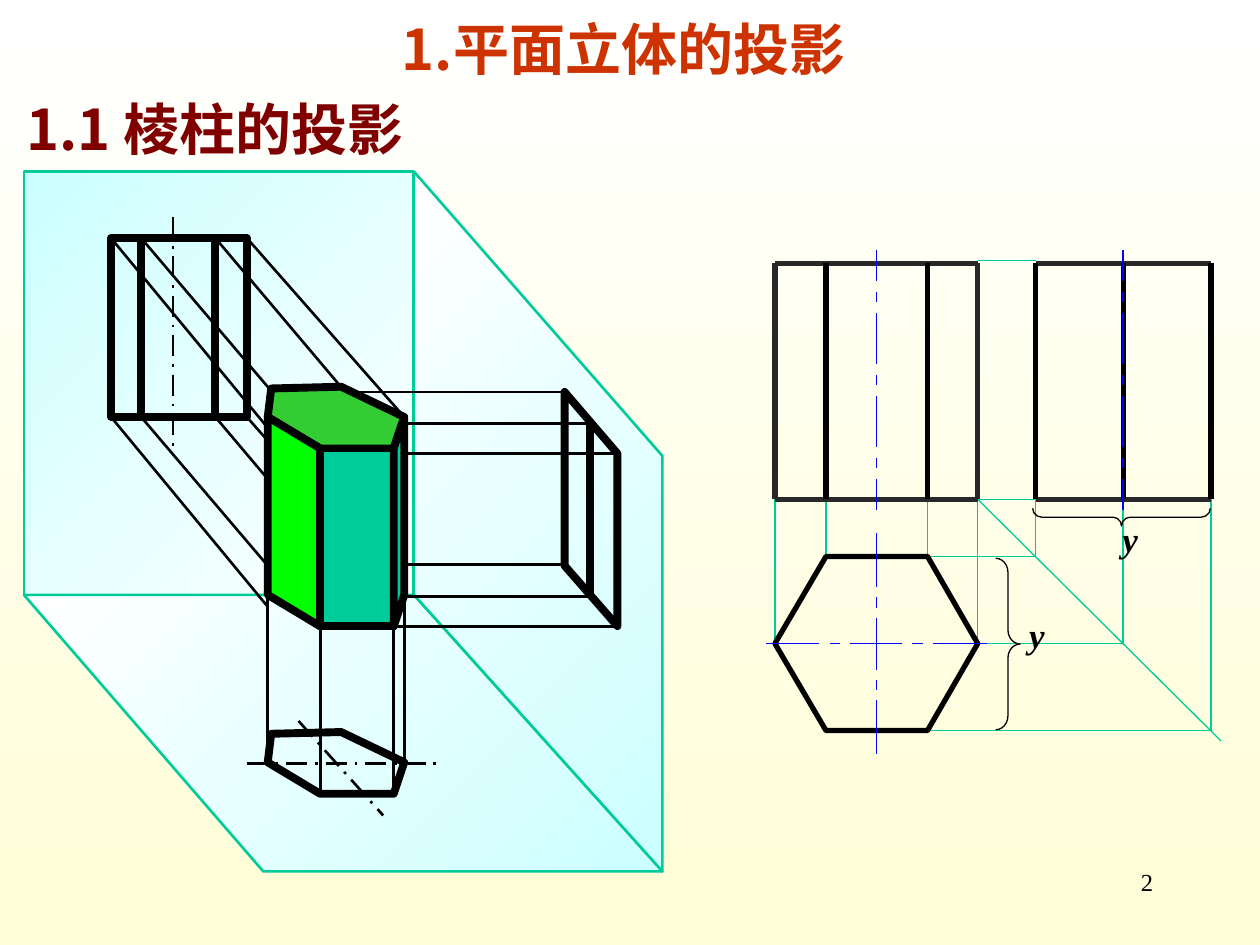
from lxml import etree
from pptx import Presentation
from pptx import util as u
from pptx.dml.color import RGBColor
from pptx.enum import dml, shapes, text
from pptx.oxml.ns import qn

BLACK, GREY, GREEN, BLUE = "000000", "282828", "00CC99", "0000FF"
CJK, LATIN = "Noto Sans CJK SC", "Times New Roman"


def colour(value):
    return RGBColor.from_string(value)


def shade(fill, first, last, angle):
    fill.gradient()
    fill.gradient_angle = 360 - angle
    for stop, value, position in zip(fill.gradient_stops, (first, last), (0, 1)):
        stop.color.rgb = colour(value)
        stop.position = position


class Drawing:
    thin, medium, thick, heavy = 0.75, 1.5, 3, 4.5

    def __init__(self, slide):
        self.slide = slide
        self.shapes = slide.shapes

    def finish(self, shape, fill, line, width):
        shape.shadow.inherit = False
        if fill is None:
            shape.fill.background()
        elif isinstance(fill, tuple):
            shade(shape.fill, *fill)
        else:
            shape.fill.solid()
            shape.fill.fore_color.rgb = colour(fill)
        shape.line.color.rgb = colour(line)
        shape.line.width = u.Pt(width)
        return shape

    def preset(self, kind, left, top, width, height, fill=None, line=BLACK, weight=heavy):
        shape = self.shapes.add_shape(kind, u.Pt(left), u.Pt(top), u.Pt(width), u.Pt(height))
        return self.finish(shape, fill, line, weight)

    def rectangle(self, *frame, **look):
        return self.preset(shapes.MSO_SHAPE.RECTANGLE, *frame, **look)

    def brace(self, left, top, width, height, curve, rotation=0):
        shape = self.preset(shapes.MSO_SHAPE.RIGHT_BRACE, left, top, width, height, weight=self.thin)
        shape.adjustments[0] = curve
        shape.rotation = rotation

    def polygon(self, points, fill=None, line=BLACK, weight=heavy):
        corners = [(u.Pt(x), u.Pt(y)) for x, y in points]
        builder = self.shapes.build_freeform(*corners[0])
        builder.add_line_segments(corners[1:], close=True)
        return self.finish(builder.convert_to_shape(), fill, line, weight)

    def line(self, x1, y1, x2, y2, value=BLACK, weight=medium, dashed=False):
        connector = self.shapes.add_connector(
            shapes.MSO_CONNECTOR.STRAIGHT, u.Pt(x1), u.Pt(y1), u.Pt(x2), u.Pt(y2))
        connector.line.color.rgb = colour(value)
        connector.line.width = u.Pt(weight)
        if dashed:
            connector.line.dash_style = dml.MSO_LINE.LONG_DASH_DOT
        etree.SubElement(connector._element.spPr, qn("a:effectLst"))

    def centre_line(self, x, y, dashes, vertical=True):
        for start, end in dashes:
            if vertical:
                self.line(x, y + start, x, y + end, BLUE, self.thin)
            else:
                self.line(x + start, y, x + end, y, BLUE, self.thin)

    def label(self, words, left, top, width, height, size, font=LATIN, value=BLACK,
              align=text.PP_ALIGN.LEFT, middle=False, inset=True, bold=False, italic=False):
        box = self.shapes.add_textbox(u.Pt(left), u.Pt(top), u.Pt(width), u.Pt(height))
        frame = box.text_frame
        frame.word_wrap = True
        if middle:
            frame.vertical_anchor = text.MSO_ANCHOR.MIDDLE
        if not inset:
            frame.margin_left = frame.margin_right = frame.margin_top = frame.margin_bottom = 0
        para = frame.paragraphs[0]
        span = para.add_run()
        span.text = words
        para.alignment = align
        for face in (para.font, span.font):
            face.size, face.name, face.bold, face.italic = u.Pt(size), font, bold, italic
            face.color.rgb = colour(value)
        if font == CJK:
            etree.SubElement(span.font._element, qn("a:ea"), typeface=font)


def mirrored(half):
    return [(-end, -start) for start, end in half] + half


def section(drop=0, **look):
    outline = [(153, 238.3), (183, 256.3), (225, 256.3), (231, 238.3), (195, 221), (155, 222)]
    drawing.polygon([(x, y + drop) for x, y in outline], **look)


def planes():
    left, right, back, top, bottom, low = 13.7, 378.5, 236.5, 98, 340, 498
    drawing.rectangle(left, top, back - left, bottom - top,
                      fill=("FFFFFF", "CCFFFF", 225), line=GREEN, weight=1.5)
    tint = ("CCFFFF", "FFFFFF", 225)
    drawing.polygon([(back, top), (right, 260.5), (right, low), (back, bottom)], tint, GREEN, 1.5)
    drawing.polygon([(right, low), (150.5, low), (left, bottom), (back, bottom)], tint, GREEN, 1.5)


def pictorial_views():
    depth = 98.7
    for drop in (0, depth):
        for start, end, y in ((195, 322.6, 224), (231, 337, 242), (225, 352.8, 259.2)):
            drawing.line(start, y + drop, end, y + drop)
    drawing.polygon([(322.6, 224), (322.6, 323.3), (352.8, 357.8), (352.8, 259.2)])
    drawing.line(337, 242.6, 337, 340.6, weight=4.5)

    top, height = 136, 102.2
    columns = (63.4, 80.6, 123, 141)
    ends = ((152.6, 244), (183, 256.3), (224.6, 256.3), (231, 238.3))
    for drop in (0, height):
        for x, (end_x, end_y) in zip(columns, ends):
            drawing.line(x, top + drop, end_x, end_y + drop)
    drawing.rectangle(columns[0], top, columns[-1] - columns[0], height)
    for x in columns[1:3]:
        drawing.line(x, top, x, top + height, weight=4.5)
    drawing.line(98.8, 124, 98.8, 256.3, dashed=True)

    for x, start, end in ((153, 340, 436.3), (183, 358, 454.3), (225, 352, 454.3), (231, 340, 436.3)):
        drawing.line(x, start, x, end)
    section(197.3)
    drawing.line(170.6, 412, 219, 466, dashed=True)
    drawing.line(141, 436.3, 249, 436.3, dashed=True)


def prism():
    height = 101.6
    section(height - 0.8)
    section(fill="33CC33")
    base = 238.3 + height
    drawing.polygon([(153, 238.3), (153, base), (183, base + 18), (183, 256.3)], "00FF00")
    drawing.rectangle(183, 256.3, 42, height, fill=GREEN)
    drawing.polygon([(225, 256.3), (231, 238.3), (231, base), (225, base + 18)], GREEN)


def orthographic_views():
    x1, x2, x3, x4 = 442.8, 472, 530, 558.7
    side, middle, far = 591.8, 641.8, 692
    top, bottom, back, axis, front = 150.5, 285.3, 318, 367.8, 417.5
    guides = [
        (x1, bottom, x1, axis), (x4, bottom, x4, axis),
        (x2, bottom, x2, back), (x3, bottom, x3, back),
        (x4, axis, middle, axis), (x4, bottom, 697.7, 423.4),
        (x3, back, side, back), (x3, front, far, front),
        (side, bottom, side, back), (far, bottom, far, front), (middle, bottom, middle, axis),
        (x4, bottom, side, bottom), (x4, 149, side, 149),
    ]
    for guide in guides:
        drawing.line(*guide, GREEN, drawing.thin)
    drawing.polygon([(x4, axis), (x3, back), (x2, back), (x1, axis), (x2, front), (x3, front)],
                    weight=drawing.thick)
    for start, end in ((side, far), (x1, x4)):
        for y in (top, bottom):
            drawing.line(start, y, end, y, GREY, drawing.thick)
    for x in (middle, side, far, x4, x1, x2, x3):
        drawing.line(x, top, x, bottom, GREY if x in (x1, x4) else BLACK, drawing.thick)

    plan_dashes = mirrored([(0, 14.8), (20.5, 26.5), (32.5, 63)])
    height_dashes = mirrored([(0, 3), (9, 38.4), (44.4, 50.2), (56.5, 74.5)])
    centre = (x1 + x4) / 2
    drawing.centre_line(centre, axis, plan_dashes, vertical=False)
    drawing.centre_line(centre, axis, plan_dashes)
    for x in (centre, middle):
        drawing.centre_line(x, 217.2, height_dashes)

    drawing.brace(569, 319, 14, 98, 0.57)
    drawing.brace(635.8, 244.8, 10.1, 101.5, 0.5, rotation=90)
    for left, y in ((581.8, 350.6), (635, 296)):
        drawing.label("y", left, y, 21.6, 23.8, 20, align=text.PP_ALIGN.CENTER,
                      inset=False, bold=True, italic=True)


deck = Presentation()
deck.slide_width, deck.slide_height = u.Pt(720), u.Pt(540)
page = deck.slides.add_slide(deck.slide_layouts[6])
shade(page.background.fill, "FFFFFF", "FFFED6", 90)
drawing = Drawing(page)
planes()
drawing.label("1.1 棱柱的投影", 8, 50.4, 273, 48.2, 32, CJK, "800000", bold=True)
pictorial_views()
prism()
drawing.label("1.平面立体的投影", 50.4, 0, 612, 54.7, 32, CJK, "CC3300",
              text.PP_ALIGN.CENTER, middle=True, bold=True)
orthographic_views()
drawing.label("2", 516, 491.8, 150, 36, 14, align=text.PP_ALIGN.RIGHT)
deck.save("out.pptx")
